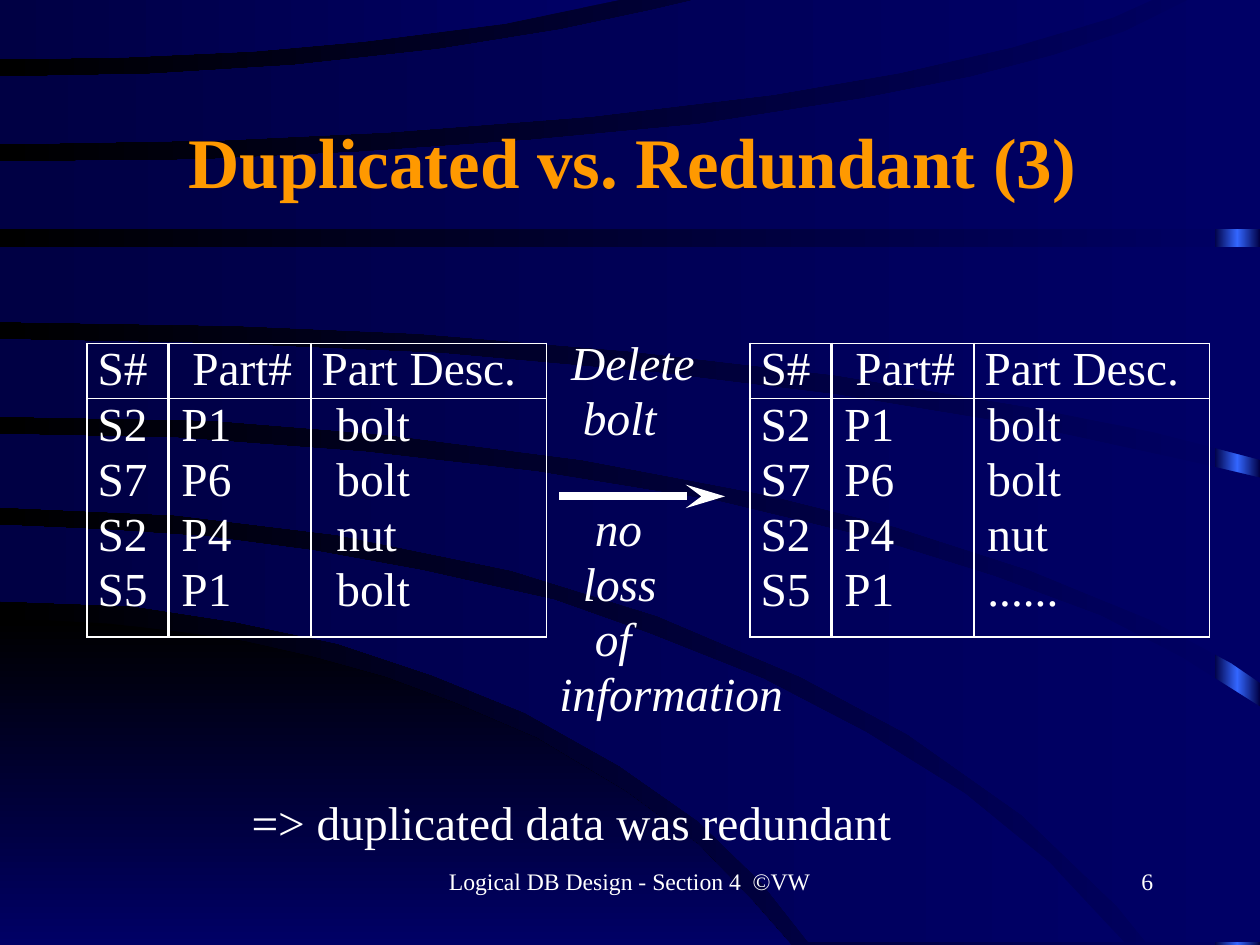
from copy import deepcopy
from pptx import Presentation
from pptx.dml.color import RGBColor
from pptx.enum import shapes, text
from pptx.oxml import parse_xml
from pptx.oxml.ns import nsdecls, qn
from pptx.util import Pt

WHITE = RGBColor(0xFF, 0xFF, 0xFF)
ORANGE = RGBColor(0xFF, 0x99, 0x00)
BLACK = RGBColor(0x00, 0x00, 0x00)
NAVY = RGBColor(0x00, 0x00, 0x66)
DARK_NAVY = RGBColor(0x00, 0x00, 0x44)
BRIGHT_BLUE = RGBColor(0x33, 0x66, 0xFF)
FONT = "Times New Roman"
W, H = 638.64, 478.8


def set_gradient(fill, element, colors, angle):
    fill.gradient()
    fill.gradient_angle = angle
    gs_lst = element.find(".//" + qn("a:gsLst"))
    for _ in colors[2:]:
        gs_lst.append(deepcopy(gs_lst[-1]))
    for i, (stop, color) in enumerate(zip(fill.gradient_stops, colors)):
        stop.color.rgb = color
        stop.position = i / (len(colors) - 1)


def add_run(p, words, size=24, color=WHITE, bold=False, italic=False):
    r = p.add_run()
    r.text = words
    r.font.name = FONT
    r.font.size = Pt(size)
    r.font.color.rgb = color
    r.font.bold = bold
    r.font.italic = italic


prs = Presentation()
prs.slide_width, prs.slide_height = Pt(W), Pt(H)
s = prs.slides.add_slide(prs.slide_layouts[5])
set_gradient(s.background.fill, s.element, [NAVY, BLACK], 180)

sp = s.shapes.add_shape(shapes.MSO_SHAPE.RECTANGLE, Pt(615.6), Pt(0), Pt(W - 615.6), Pt(H))
sp.shadow.inherit = False
sp.line.fill.background()
set_gradient(sp.fill, sp.element, [DARK_NAVY, BRIGHT_BLUE, DARK_NAVY], 180)

corner = ([(0, 314), (18, 314), (55, 316), (89, 320), (124, 325), (159, 333), (195, 343),
           (230, 356), (272, 374), (317, 401), (354, 428), (381, 456), (401, H)],
          [(0, H)])
bands = [
    ([(0, 266), (55, 268.5), (106, 272), (159, 279), (214, 289), (281, 304), (329, 321),
      (387, 344), (439, 371), (489, 402), (532, 437), (570, 477.5)],
     [(0, 304.5), (67, 307), (119, 315), (171, 326), (219, 342), (266, 361), (314, 388),
      (354, 416), (386, 447), (410, 477.5)]),
    ([(0, 220), (92, 222), (185, 229), (272, 239), (364, 254), (443, 273), (504, 292),
      (558, 312), (599, 333), (W, 358)],
     [(0, 257), (89, 261), (171, 271), (259, 289), (333, 312), (406, 343), (460, 372),
      (518, 413), (566, 459), (581, 477.5), (W, 477.5)]),
    ([(0, 172), (107, 174), (223, 179), (334, 189), (424, 200), (521, 216), (609, 235),
      (W, 242)],
     [(0, 211), (107, 213), (194, 220), (295, 233), (390, 251), (454, 267), (522, 289),
      (583, 314), (624, 336), (W, 346)]),
    ([(0, 125), (W, 125)],
     [(0, 163), (119, 165), (212, 169), (320, 178), (423, 190), (520, 206), (585, 219),
      (W, 233)]),
    ([(0, 82), (101, 81), (183, 77), (269, 71), (354, 63), (437, 50), (492, 39),
      (534, 28), (570, 16), (602, 0), (W, 0)],
     [(0, 116), (W, 116)]),
    ([(0, 39), (77, 37.5), (149, 33), (222, 25), (284, 15), (331, 5), (352, 0)],
     [(0, 73), (113, 71), (197, 67), (300, 59), (392, 48), (456, 37), (513, 24),
      (564, 9), (584, 0)]),
    ([(0, 0)],
     [(0, 30), (64, 29), (129, 26), (185, 21), (256, 12), (314, 0)]),
]
swooshes = [(corner, [BLACK, NAVY], 270)] + [(b, [NAVY, DARK_NAVY], 180) for b in bands]
for (upper, lower), colors, angle in swooshes:
    points = [(Pt(x), Pt(y)) for x, y in upper + lower[::-1]]
    builder = s.shapes.build_freeform(*points[0])
    builder.add_line_segments(points[1:], close=True)
    sp = builder.convert_to_shape()
    sp.shadow.inherit = False
    sp.line.fill.background()
    set_gradient(sp.fill, sp.element, colors, angle)

title = s.shapes.title
title.left, title.top, title.width, title.height = Pt(51), Pt(54), Pt(539), Pt(54.5)
tf = title.text_frame
tf.vertical_anchor = text.MSO_ANCHOR.MIDDLE
p = tf.paragraphs[0]
p.alignment = text.PP_ALIGN.CENTER
add_run(p, "Duplicated vs. Redundant (3)", 36, ORANGE, bold=True)
s.shapes._spTree.append(title.element)

header = ["S#", "Part#", "Part Desc."]
parts = [("S2", "P1"), ("S7", "P6"), ("S2", "P4"), ("S5", "P1")]
col_widths = [41.5, 72, 119.5]
row_heights = [28, 28, 28, 28, 37]
header_indents = [5.5, 12, 5.5]
tables = [(44, ["bolt", "bolt", "nut", "bolt"], 13),
          (380, ["bolt", "bolt", "nut", "......"], 7)]
for left, descs, desc_indent in tables:
    rows = [header] + [[*part, desc] for part, desc in zip(parts, descs)]
    table = s.shapes.add_table(len(rows), 3, Pt(left), Pt(174), Pt(sum(col_widths)),
                               Pt(sum(row_heights))).table
    table.first_row = table.horz_banding = False
    for col, width in zip(table.columns, col_widths):
        col.width = Pt(width)
    for i, row in enumerate(rows):
        table.rows[i].height = Pt(row_heights[i])
        indents = header_indents if i == 0 else [5.5, 6.5, desc_indent]
        for j, words in enumerate(row):
            cell = table.cell(i, j)
            cell.margin_left, cell.margin_top = Pt(indents[j]), Pt(1)
            cell.margin_right = cell.margin_bottom = Pt(0)
            cell.vertical_anchor = text.MSO_ANCHOR.TOP
            cell.fill.background()
            p = cell.text_frame.paragraphs[0]
            p.line_spacing = 0.97
            add_run(p, words)
            borders = {"lnL": 2 if j == 1 else 1, "lnR": 2 if j == 0 else 1,
                       "lnT": int(i < 2), "lnB": int(i in (0, len(rows) - 1))}
            for k, (side, width) in enumerate(borders.items()):
                paint = f'<a:solidFill><a:srgbClr val="{WHITE}"/></a:solidFill>' if width else "<a:noFill/>"
                ln = parse_xml(f'<a:{side} {nsdecls("a")} w="{Pt(width)}">{paint}</a:{side}>')
                cell._tc.get_or_add_tcPr().insert(k, ln)

arrow = s.shapes.add_connector(shapes.MSO_CONNECTOR.STRAIGHT, Pt(283.5), Pt(251.5), Pt(367.5), Pt(251.5))
arrow.line.color.rgb = WHITE
arrow.line.width = Pt(4)
arrow.line._get_or_add_ln().append(
    parse_xml(f'<a:tailEnd {nsdecls("a")} type="stealth" w="med" len="lg"/>'))
arrow._element.spPr.append(parse_xml(f'<a:effectLst {nsdecls("a")}/>'))

LEFT, CENTER, RIGHT = text.PP_ALIGN.LEFT, text.PP_ALIGN.CENTER, text.PP_ALIGN.RIGHT
delete_lines = [("Delete", 6, 0), ("bolt", 12, 0), ("no", 18, 28), ("loss", 12, 0),
                ("of", 18, 0), ("information", 0, 0)]
notes = [
    (278.5, 167.5, 130, 199.5, delete_lines, 24, LEFT, True),
    (122.5, 400.5, 345, 32, [("=> duplicated data was redundant", 0, 0)], 24, LEFT, False),
    (218, 436, 202.5, 31.5, [("Logical DB Design - Section 4  ©VW", 0, 0)], 12, CENTER, False),
    (458, 436, 133, 31.5, [("6", 0, 0)], 12, RIGHT, False),
]
for x, y, w, h, lines, size, align, italic in notes:
    tf = s.shapes.add_textbox(Pt(x), Pt(y), Pt(w), Pt(h)).text_frame
    tf.word_wrap = True
    tf.margin_left = tf.margin_right = Pt(5 if size == 24 else 6.5)
    tf.margin_top = tf.margin_bottom = Pt(2 if size == 24 else 3)
    for i, (words, indent, gap) in enumerate(lines):
        p = tf.add_paragraph() if i else tf.paragraphs[0]
        p.alignment = align
        if indent:
            p._p.get_or_add_pPr().set("marL", str(Pt(indent)))
        if gap:
            p.space_before = Pt(gap)
        if size == 24:
            p.line_spacing = Pt(28)
        add_run(p, words, size, italic=italic)

prs.save("out.pptx")
